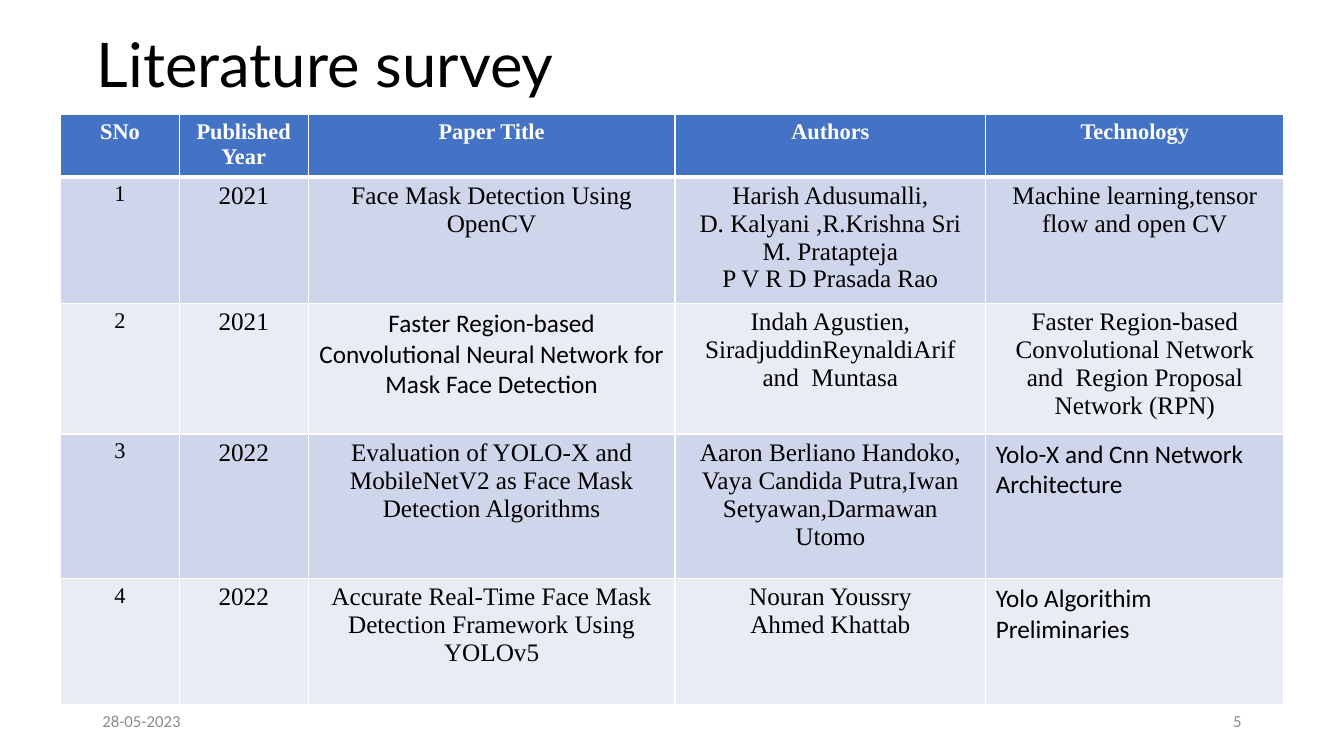
import pptx
import pptx.dml.color
import pptx.enum.text
import pptx.oxml
import pptx.oxml.ns
import pptx.util

Pt = pptx.util.Pt
ALIGN = pptx.enum.text.PP_ALIGN
MIDDLE = pptx.enum.text.MSO_ANCHOR.MIDDLE
SERIF = "Times New Roman"


def color(hex_code):
    return pptx.dml.color.RGBColor.from_string(hex_code)


def write(frame, text, size=18, font=SERIF, ink="000000", bold=False,
          align=ALIGN.CENTER, spacing=None):
    """Fill a text frame, one paragraph for each line of text."""
    frame.word_wrap = True
    frame.text = text
    for para in frame.paragraphs:
        para.alignment = align
        if spacing:
            para.line_spacing = spacing
        for span in para.runs:
            span.font.size = Pt(size)
            span.font.name = font
            span.font.bold = bold
            span.font.color.rgb = color(ink)


deck = pptx.Presentation()
deck.slide_width, deck.slide_height = Pt(960), Pt(540)
page = deck.slides.add_slide(deck.slide_layouts[5])

# Title
title = page.shapes.title
title.left, title.top, title.width, title.height = Pt(62), Pt(14.4), Pt(828), Pt(67.7)
title.text_frame.vertical_anchor = MIDDLE
write(title.text_frame, "Literature survey", size=44, font="Lato",
      align=ALIGN.LEFT, spacing=0.9)

# Survey table
survey = [
    ("SNo", "Published Year", "Paper Title", "Authors", "Technology"),
    ("1", "2021", "Face Mask Detection Using OpenCV",
     "Harish Adusumalli,\nD. Kalyani ,R.Krishna Sri\nM. Pratapteja\nP V R D Prasada Rao",
     "Machine learning,tensor flow and open CV"),
    ("2", "2021",
     "Faster Region-based Convolutional Neural Network for Mask Face Detection",
     "Indah Agustien, SiradjuddinReynaldiArif and  Muntasa",
     "Faster Region-based Convolutional Network and  Region Proposal Network (RPN)"),
    ("3", "2022",
     "Evaluation of YOLO-X and MobileNetV2 as Face Mask Detection Algorithms",
     "Aaron Berliano Handoko,\nVaya Candida Putra,Iwan Setyawan,Darmawan Utomo",
     "Yolo-X and Cnn Network Architecture"),
    ("4", "2022",
     "Accurate Real-Time Face Mask Detection Framework Using YOLOv5",
     "Nouran Youssry\nAhmed Khattab", "Yolo Algorithim Preliminaries"),
]
column_widths = [84.6, 92.2, 262, 222, 213]
row_heights = [44.2, 90.5, 93.3, 103.2, 90.5]
calibri_cells = {(2, 2), (3, 4), (4, 4)}

table = page.shapes.add_table(
    len(survey), len(column_widths), Pt(43.4), Pt(82),
    Pt(sum(column_widths)), Pt(sum(row_heights))).table
for column, width in zip(table.columns, column_widths):
    column.width = Pt(width)

for i, (row, height) in enumerate(zip(survey, row_heights)):
    table.rows[i].height = Pt(height)
    header = i == 0
    fill = "4472C4" if header else ("E9EBF5", "CFD5EA")[i % 2]
    for j, text in enumerate(row):
        cell = table.cell(i, j)
        write(cell.text_frame, text,
              size=16 if header or j == 0 else 18,
              font="Calibri" if (i, j) in calibri_cells else SERIF,
              ink="FFFFFF" if header else "000000", bold=header,
              align=ALIGN.LEFT if j == 4 and i >= 3 else ALIGN.CENTER)
        # White borders, thicker between header and body
        properties = cell._tc.get_or_add_tcPr()
        for side in "LRTB":
            thick = (i, side) in {(0, "B"), (1, "T")}
            properties.append(pptx.oxml.parse_xml(
                f'<a:ln{side} {pptx.oxml.ns.nsdecls("a")} w="{Pt(3 if thick else 1)}">'
                '<a:solidFill><a:srgbClr val="FFFFFF"/></a:solidFill>'
                f'</a:ln{side}>'))
        cell.fill.solid()
        cell.fill.fore_color.rgb = color(fill)

# Date and page number
for left, text, align in ((66, "28-05-2023", ALIGN.LEFT), (678, "5", ALIGN.RIGHT)):
    box = page.shapes.add_textbox(Pt(left), Pt(500.5), Pt(216), Pt(28.75))
    box.text_frame.vertical_anchor = MIDDLE
    write(box.text_frame, text, size=12, font="Calibri", ink="8C8C8C", align=align)

deck.save("out.pptx")
